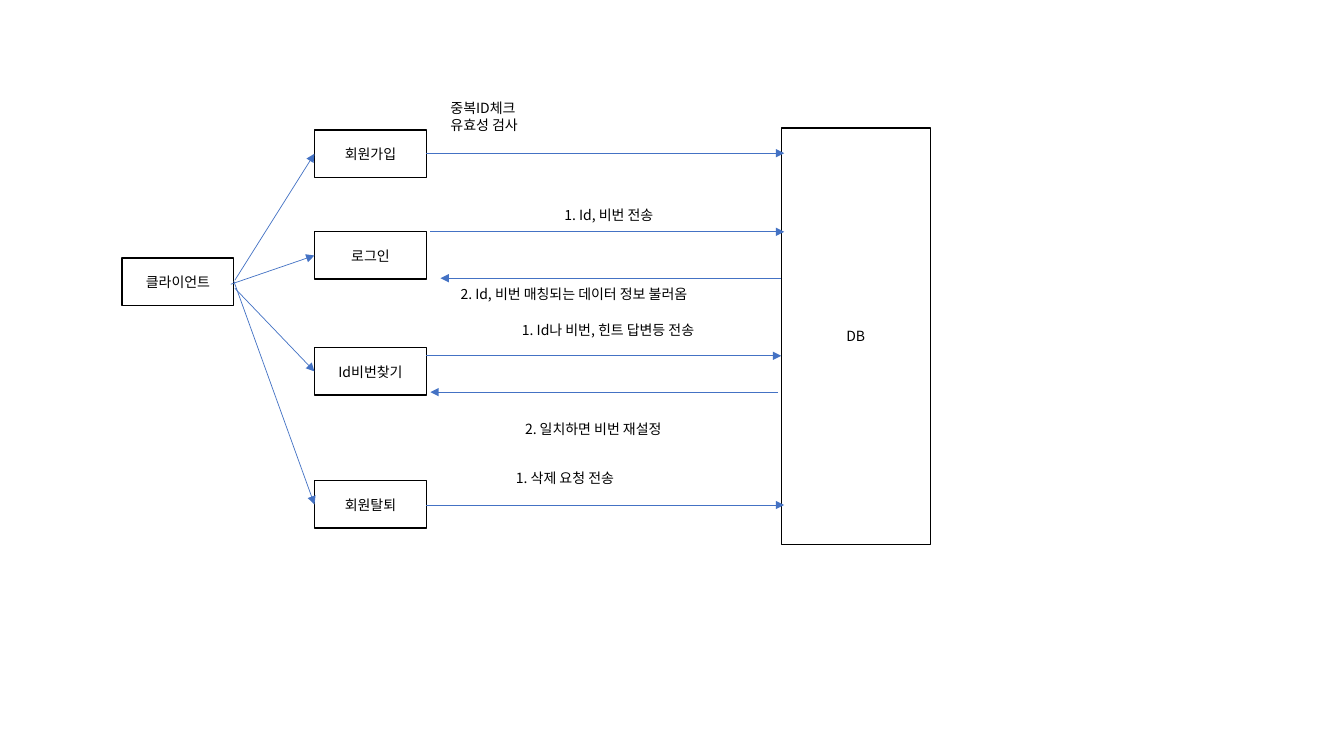
import dataclasses
import pptx
import pptx.util
import pptx.dml.color
import pptx.enum.shapes
import pptx.enum.text
import pptx.oxml
import pptx.oxml.ns


@dataclasses.dataclass(frozen=True)
class Theme:
    font: str = "Noto Sans CJK KR"
    size: float = 10
    ink: str = "000000"
    paper: str = "FFFFFF"
    arrow: str = "4472C4"
    edge: float = 1
    thin: float = 0.5


THEME = Theme()
ALIGN = pptx.enum.text.PP_ALIGN
ANCHOR = pptx.enum.text.MSO_ANCHOR

# Grid of ten columns and ten rows to the inch
WIDE, HIGH = 133.33, 75
BOX_W, BOX_H = 11.1, 4.7
MENU_X, DB_X = 31.2, 77.5
MENU_END = MENU_X + BOX_W
DB_IN = DB_X + 0.3

MENU = [("회원가입", 12.9), ("로그인", 23), ("Id비번찾기", 34.5), ("회원탈퇴", 47.7)]

# Start of each arrow from the client, one per menu box
FAN = [(23.3, 27.8), (22.9, 28.2), (23.3, 28.6), (23.2, 27.9)]

# Start column, end column and row of each call to the database and back
CALLS = [
    (MENU_END, DB_IN, 15.2),
    (42.7, DB_IN, 23),
    (DB_X, 43.7, 27.6),
    (MENU_END, DB_X, 35.3),
    (77.2, 42.7, 38.9),
    (MENU_END, DB_IN, 50.1),
]

# Text, left, top and width of each note
NOTES = [
    ("중복ID체크\n유효성 검사", 43.7, 9.4, 14.8),
    ("1. Id, 비번 전송", 55, 20, 14.8),
    ("2. Id, 비번 매칭되는 데이터 정보 불러옴", 44.7, 27.8, 27.2),
    ("1. Id나 비번, 힌트 답변등 전송", 50.8, 31.4, 22.8),
    ("2. 일치하면 비번 재설정", 51.1, 41.2, 19.9),
    ("1. 삭제 요청 전송", 50.2, 46.1, 22.8),
]


def grid(*cells):
    return [pptx.util.Inches(cell / 10) for cell in cells]


def color(code):
    return pptx.dml.color.RGBColor.from_string(code)


def node(tag, attrs=""):
    return pptx.oxml.parse_xml(f"<a:{tag} {pptx.oxml.ns.nsdecls('a')} {attrs}/>")


def write(frame, text, align=ALIGN.LEFT, anchor=ANCHOR.TOP,
          size=THEME.size, ink=THEME.ink, font=THEME.font):
    frame.word_wrap = True
    frame.vertical_anchor = anchor
    for i, line in enumerate(text.split("\n")):
        para = frame.add_paragraph() if i else frame.paragraphs[0]
        para.alignment = align
        run = para.add_run()
        run.text = line
        run.font.size = pptx.util.Pt(size)
        run.font.name = font
        run.font.color.rgb = color(ink)
        run.font._element.append(node("ea", f'typeface="{font}"'))


def box(slide, text, x, y, w=BOX_W, h=BOX_H):
    kind = pptx.enum.shapes.MSO_SHAPE.RECTANGLE
    shape = slide.shapes.add_shape(kind, *grid(x, y, w, h))
    shape.shadow.inherit = False
    shape.fill.solid()
    shape.fill.fore_color.rgb = color(THEME.paper)
    shape.line.color.rgb = color(THEME.ink)
    shape.line.width = pptx.util.Pt(THEME.edge)
    write(shape.text_frame, text, align=ALIGN.CENTER, anchor=ANCHOR.MIDDLE)


def note(slide, text, x, y, w):
    high = 1 + 1.7 * len(text.split("\n"))
    frame = slide.shapes.add_textbox(*grid(x, y, w, high)).text_frame
    write(frame, text)
    frame.auto_size = pptx.enum.text.MSO_AUTO_SIZE.SHAPE_TO_FIT_TEXT


def arrow(slide, x1, y1, x2, y2):
    kind = pptx.enum.shapes.MSO_CONNECTOR.STRAIGHT
    link = slide.shapes.add_connector(kind, *grid(x1, y1, x2, y2))
    link.line.color.rgb = color(THEME.arrow)
    link.line.width = pptx.util.Pt(THEME.thin)
    props = link._element.spPr
    props.find(pptx.oxml.ns.qn("a:ln")).append(node("tailEnd", 'type="triangle"'))
    props.append(node("effectLst"))


def main():
    deck = pptx.Presentation()
    deck.slide_width, deck.slide_height = grid(WIDE, HIGH)
    slide = deck.slides.add_slide(deck.slide_layouts[6])

    # Client, menu and database
    box(slide, "클라이언트", 12.1, 25.6)
    for text, y in MENU:
        box(slide, text, MENU_X, y)
    box(slide, "DB", DB_X, 12.7, 14.8, 41.3)

    # Client to menu
    for (x, y), (_, top) in zip(FAN, MENU):
        arrow(slide, x, y, MENU_X, top + BOX_H / 2)

    # Menu to database and back
    for start, end, y in CALLS:
        arrow(slide, start, y, end, y)

    # Notes on the calls
    for item in NOTES:
        note(slide, *item)

    deck.save("out.pptx")


if __name__ == "__main__":
    main()
